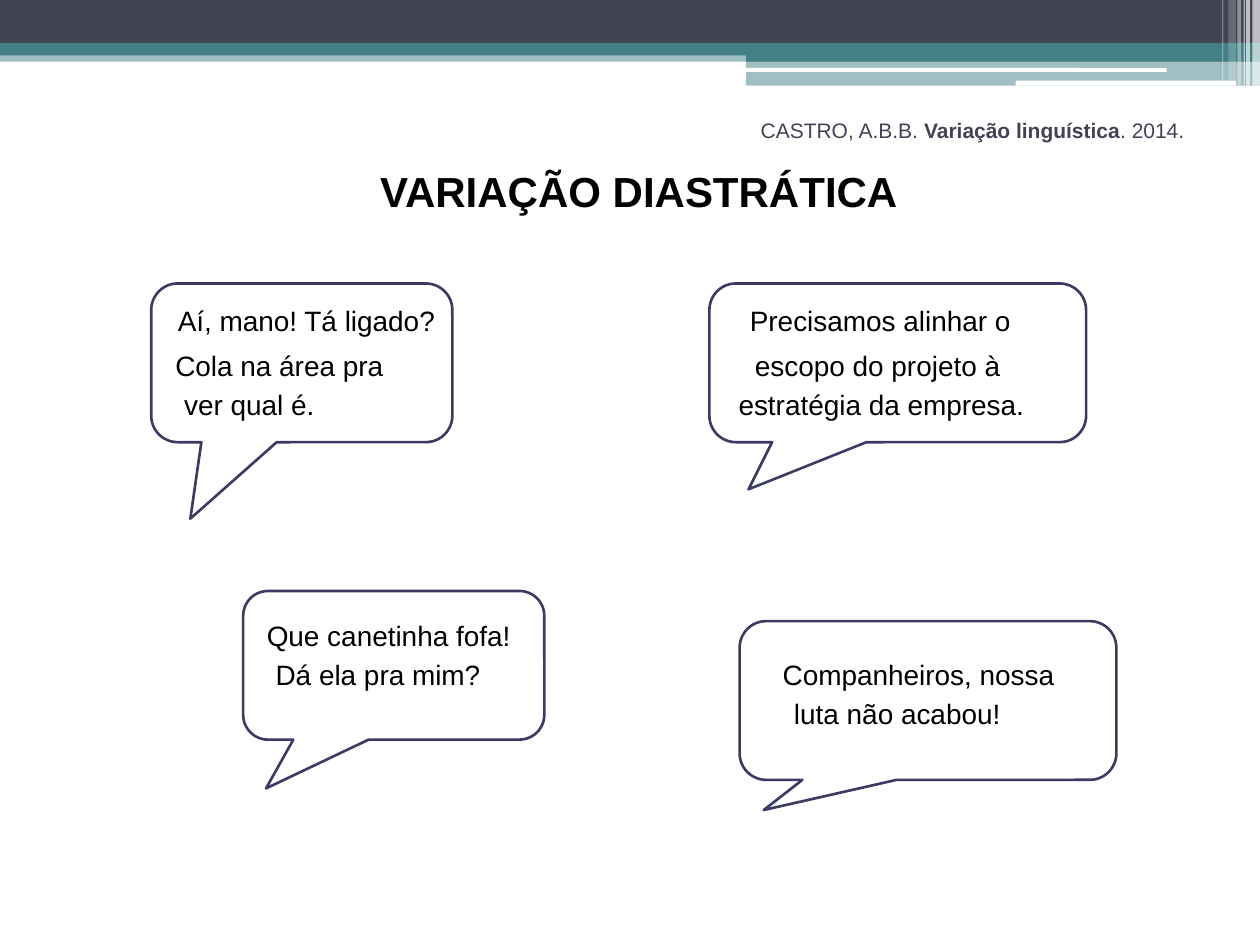
from dataclasses import dataclass

from lxml.etree import SubElement
from pptx import Presentation
from pptx.dml.color import RGBColor
from pptx.enum.shapes import MSO_SHAPE
from pptx.enum.text import MSO_ANCHOR, MSO_AUTO_SIZE, PP_ALIGN
from pptx.oxml.ns import qn
from pptx.util import Inches, Pt


@dataclass(frozen=True)
class Theme:
    font: str = "Arial"
    ink: str = "000000"
    navy: str = "424456"
    teal: str = "438086"
    white: str = "FFFFFF"
    outline: str = "3B3B64"
    citation_size: int = 12
    heading_size: int = 24
    speech_size: int = 16


THEME = Theme()

# Header bands: left, top, width, height, colour, opacity in percent
BANDS = [
    (0, 0.4, 10, 0.09, THEME.teal, 50),
    (0, 0, 10, 0.34, THEME.navy, 100),
    (0, 0.34, 10, 0.1, THEME.teal, 100),
    (5.92, 0.39, 4.08, 0.1, THEME.teal, 100),
    (5.92, 0.48, 4.08, 0.2, THEME.teal, 50),
]
# Rounded white rules: left, top, width, height
RULES = [(5.91, 0.54, 3.35, 0.03), (8.06, 0.64, 1.75, 0.04)]
# Vertical stripes at the right edge: left, width, height, opacity in percent
STRIPES = [
    (9.94, 0.06, 0.68, 65),
    (9.89, 0.03, 0.68, 65),
    (9.87, 0.01, 0.68, 60),
    (9.82, 0.03, 0.68, 40),
    (9.75, 0.06, 0.64, 20),
    (9.7, 0.01, 0.64, 30),
]
# Speech bubbles: box, tail tip, top margin, gap after the first line,
# and lines with their indents
BUBBLES = [
    ((1.2, 2.25, 2.39, 1.26), (-0.37, 0.982), 0.1, 6.5,
     [("Aí, mano! Tá ligado?", 0.15), ("Cola na área pra", 0.13),
      ("ver qual é.", 0.2)]),
    ((5.63, 2.25, 2.99, 1.26), (-0.396, 0.797), 0.1, 6.5,
     [("Precisamos alinhar o", 0.26), ("escopo do projeto à", 0.3),
      ("estratégia da empresa.", 0.17)]),
    ((1.93, 4.69, 2.39, 1.18), (-0.424, 0.828), 0.16, 3,
     [("Que canetinha fofa!", 0.13), ("Dá ela pra mim?", 0.2)]),
    ((5.87, 4.93, 2.99, 1.26), (-0.436, 0.69), 0.23, 3,
     [("Companheiros, nossa", 0.28), ("luta não acabou!", 0.37)]),
]


def write(paragraph, text, size, color=THEME.ink, bold=False,
          align=PP_ALIGN.LEFT, indent=0, before=0):
    """Add a formatted run to a paragraph without a bullet."""
    properties = paragraph._p.get_or_add_pPr()
    properties.set("marL", str(Inches(indent)))
    properties.set("indent", "0")
    paragraph.alignment = align
    paragraph.space_before = Pt(before)
    if properties.find(qn("a:buNone")) is None:
        SubElement(properties, qn("a:buNone"))
    run = paragraph.add_run()
    run.text = text
    run.font.name = THEME.font
    run.font.size = Pt(size)
    run.font.bold = bold
    run.font.color.rgb = RGBColor.from_string(color)


def place(placeholder, box, anchor):
    """Move a placeholder and return its first paragraph."""
    (placeholder.left, placeholder.top,
     placeholder.width, placeholder.height) = map(Inches, box)
    frame = placeholder.text_frame
    frame.auto_size = MSO_AUTO_SIZE.NONE
    frame.word_wrap = True
    frame.vertical_anchor = anchor
    return frame.paragraphs[0]


def add_block(slide, box, color, opacity=100, kind=MSO_SHAPE.RECTANGLE):
    """Add a borderless block of colour."""
    block = slide.shapes.add_shape(kind, *map(Inches, box))
    block.shadow.inherit = False
    block.line.fill.background()
    block.fill.solid()
    block.fill.fore_color.rgb = RGBColor.from_string(color)
    if opacity < 100:
        tint = block._element.spPr.find(qn("a:solidFill"))[0]
        SubElement(tint, qn("a:alpha"), val=str(opacity * 1000))


def add_header(slide):
    for *box, color, opacity in BANDS:
        add_block(slide, box, color, opacity)
    for box in RULES:
        add_block(slide, box, THEME.white, kind=MSO_SHAPE.ROUNDED_RECTANGLE)
    for left, width, height, opacity in STRIPES:
        add_block(slide, (left, 0, width, height), THEME.white, opacity)


def add_bubble(slide, box, tail, top_margin, first_gap, lines):
    """Add an outlined speech bubble with its lines."""
    bubble = slide.shapes.add_shape(
        MSO_SHAPE.ROUNDED_RECTANGULAR_CALLOUT, *map(Inches, box))
    bubble.shadow.inherit = False
    bubble.fill.background()
    bubble.line.color.rgb = RGBColor.from_string(THEME.outline)
    bubble.line.width = Pt(1.5)
    for index, value in enumerate((*tail, 0.167)):
        bubble.adjustments[index] = value

    frame = bubble.text_frame
    frame.word_wrap = True
    frame.vertical_anchor = MSO_ANCHOR.TOP
    frame.margin_left = frame.margin_right = frame.margin_bottom = 0
    frame.margin_top = Inches(top_margin)
    gaps = (0, first_gap, 3)
    for index, (text, indent) in enumerate(lines):
        line = frame.add_paragraph() if index else frame.paragraphs[0]
        write(line, text, THEME.speech_size, indent=indent, before=gaps[index])


def main():
    deck = Presentation()
    deck.slide_width, deck.slide_height = Inches(10), Inches(7.5)
    slide = deck.slides.add_slide(deck.slide_layouts[1])
    add_header(slide)

    # Citation
    citation = place(slide.shapes.title, (0.5, 0.84, 9, 0.39),
                     MSO_ANCHOR.MIDDLE)
    for text, bold in (("CASTRO, A.B.B. ", False),
                       ("Variação linguística", True),
                       (". 2014.", False)):
        write(citation, text, THEME.citation_size, color=THEME.navy,
              bold=bold, align=PP_ALIGN.RIGHT)

    # Heading
    heading = place(slide.placeholders[1], (0.51, 1.26, 9, 0.5),
                    MSO_ANCHOR.TOP)
    write(heading, "VARIAÇÃO DIASTRÁTICA", THEME.heading_size, bold=True,
          align=PP_ALIGN.CENTER, indent=0.12)

    # Speech examples
    for bubble in BUBBLES:
        add_bubble(slide, *bubble)

    deck.save("out.pptx")


if __name__ == "__main__":
    main()
